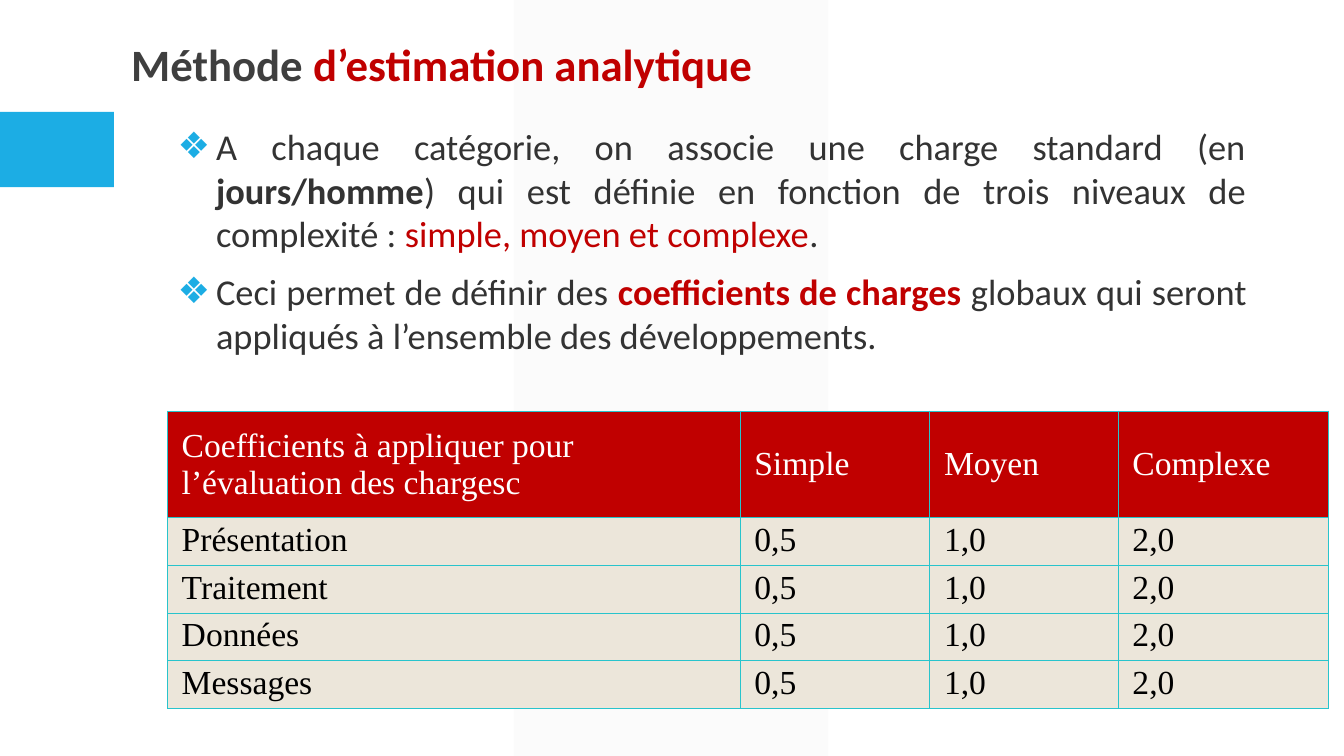
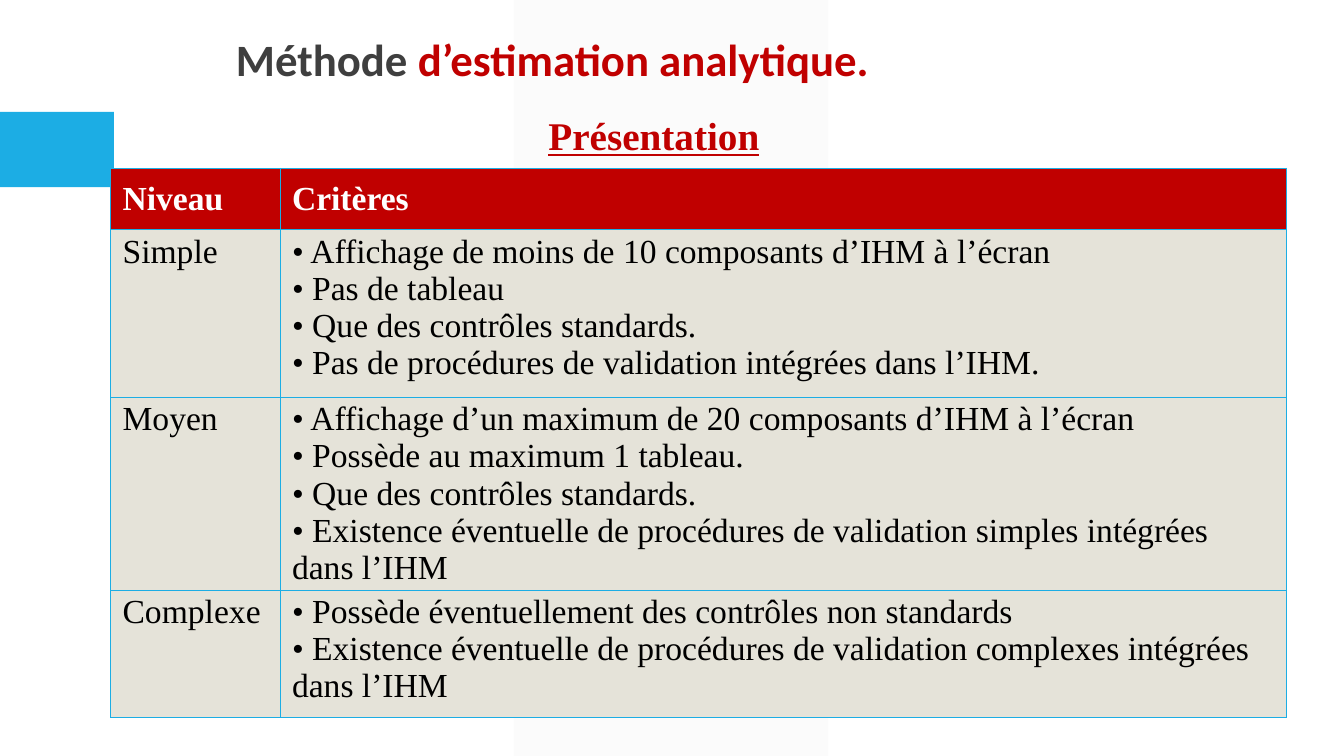
import pptx
import pptx.util
import pptx.dml.color
import pptx.enum.shapes
import pptx.enum.text
import pptx.oxml
import pptx.oxml.ns

Cm = pptx.util.Cm
Pt = pptx.util.Pt
RGB = pptx.dml.color.RGBColor
ALIGN = pptx.enum.text.PP_ALIGN
ANCHOR = pptx.enum.text.MSO_ANCHOR
SHAPE = pptx.enum.shapes.MSO_SHAPE
NS = pptx.oxml.ns.nsdecls("a")

WHITE = RGB(0xFF, 0xFF, 0xFF)
BLACK = RGB(0, 0, 0)
RED = RGB(0xC0, 0, 0)
BLUE = RGB(0x1C, 0xAD, 0xE4)
TEAL = RGB(0x28, 0xC4, 0xCC)
PALE = RGB(0xF2, 0xF2, 0xF2)
TITLE_GREY = RGB(0x3F, 0x3F, 0x3F)
TEXT_GREY = RGB(0x33, 0x33, 0x33)
SAND = RGB(0xEC, 0xE6, 0xDA)
STONE = RGB(0xE5, 0xE3, 0xD9)
SANS = "Calibri"
SERIF = "Times New Roman"


def place(sp, box):
    """Move a shape to a box given in centimetres."""
    sp.left, sp.top, sp.width, sp.height = (Cm(v) for v in box)


def add_run(p, text, size, font, color, bold=False):
    """Add one formatted run to a paragraph and return it."""
    r = p.add_run()
    r.text = text
    r.font.size = Pt(size)
    r.font.name = font
    r.font.color.rgb = color
    r.font.bold = bold
    return r


def add_band(prs, s, kind, box, color, alpha=100):
    """Draw a plain band and hand it to the slide master."""
    sp = s.shapes.add_shape(kind, *(Cm(v) for v in box))
    sp.shadow.inherit = False
    sp.fill.solid()
    sp.fill.fore_color.rgb = color
    sp.line.fill.background()
    if kind == SHAPE.PARALLELOGRAM:
        sp.adjustments[0] = 0
    if alpha < 100:
        clr = sp.element.spPr.find(".//" + pptx.oxml.ns.qn("a:srgbClr"))
        clr.append(pptx.oxml.parse_xml(f'<a:alpha {NS} val="{alpha * 1000}"/>'))
    tree = prs.slide_master.element.cSld.spTree
    sp.element.nvSpPr.cNvPr.set("id", str(100 + len(tree)))
    tree.append(sp.element)


def add_bands(prs, s):
    """Give the master its pale column and blue accent."""
    add_band(prs, s, SHAPE.PARALLELOGRAM, (12.95, 0, 7.92, 19.05), PALE, 28)
    add_band(prs, s, SHAPE.RECTANGLE, (0, 2.82, 2.87, 1.9), BLUE)


def fill_title(s, box, ending):
    """Write the two-colour title in its placeholder."""
    sp = s.shapes.title
    place(sp, box)
    tf = sp.text_frame
    tf.auto_size = pptx.enum.text.MSO_AUTO_SIZE.NONE
    tf.vertical_anchor = ANCHOR.TOP
    p = tf.paragraphs[0]
    p.alignment = ALIGN.LEFT
    add_run(p, "Méthode ", 32, SANS, TITLE_GREY, True)
    add_run(p, ending, 32, SANS, RED, True)


def fill_body(s, box, items):
    """Write a justified list with diamond bullets in the body placeholder."""
    sp = s.placeholders[1]
    place(sp, box)
    tf = sp.text_frame
    tf.auto_size = pptx.enum.text.MSO_AUTO_SIZE.NONE
    for i, runs in enumerate(items):
        p = tf.add_paragraph() if i else tf.paragraphs[0]
        p.alignment = ALIGN.JUSTIFY
        p.space_before = Pt(10 if i else 0)
        pPr = p._p.get_or_add_pPr()
        pPr.set("marL", str(Cm(0.97)))
        pPr.set("indent", str(-Cm(0.97)))
        pPr.append(pptx.oxml.parse_xml(
            f'<a:buClr {NS}><a:srgbClr val="{BLUE}"/></a:buClr>'))
        pPr.append(pptx.oxml.parse_xml(f'<a:buChar {NS} char="❖"/>'))
        for text, color, bold in runs:
            add_run(p, text, 26, SANS, color, bold)


def add_borders(cell, color):
    """Draw thin lines on the four sides of a cell."""
    tcPr = cell._tc.get_or_add_tcPr()
    for i, side in enumerate("LRTB"):
        tcPr.insert(i, pptx.oxml.parse_xml(
            f'<a:ln{side} {NS} w="{Pt(0.75)}"><a:solidFill>'
            f'<a:srgbClr val="{color}"/></a:solidFill></a:ln{side}>'))


def add_grid(s, left, top, cols, heights, rows, fill, border, pad, head_bold):
    """Add a table with a red header; each line of a cell is a paragraph."""
    tbl = s.shapes.add_table(len(rows), len(cols), Cm(left), Cm(top),
                             Cm(sum(cols)), Cm(sum(heights))).table
    for col, width in zip(tbl.columns, cols):
        col.width = Cm(width)
    for i, (row, height) in enumerate(zip(rows, heights)):
        tbl.rows[i].height = Cm(height)
        head = i == 0
        for j, text in enumerate(row):
            cell = tbl.cell(i, j)
            cell.fill.solid()
            cell.fill.fore_color.rgb = RED if head else fill
            add_borders(cell, border)
            cell.vertical_anchor = ANCHOR.MIDDLE if head else ANCHOR.TOP
            cell.margin_left = cell.margin_right = Cm(pad)
            cell.margin_top = cell.margin_bottom = Cm(0.1 if head else 0.09)
            tf = cell.text_frame
            for k, line in enumerate(text.split("\n")):
                p = tf.add_paragraph() if k else tf.paragraphs[0]
                add_run(p, line, 24, SERIF, WHITE if head else BLACK,
                        head and head_bold)


def add_caption(s, box, text):
    """Add the centred, underlined caption of a table."""
    sp = s.shapes.add_textbox(*(Cm(v) for v in box))
    tf = sp.text_frame
    tf.word_wrap = True
    p = tf.paragraphs[0]
    p.alignment = ALIGN.CENTER
    add_run(p, text, 28, SERIF, RED, True).font.underline = True


def bullets(*lines):
    """Join criteria into bulleted lines."""
    return "\n".join("• " + line for line in lines)


def coefficients_slide(s):
    """Build the slide on load coefficients."""
    fill_title(s, (3.05, 0.79, 27.94, 4.04), "d’estimation analytique")
    fill_body(s, (4.22, 3, 27.46, 12.65), [
        [("A chaque catégorie, on associe une charge standard (en ", TEXT_GREY, False),
         ("jours/homme", TEXT_GREY, True),
         (") qui est définie en fonction de trois niveaux de complexité : ",
          TEXT_GREY, False),
         ("simple, moyen et complexe", RED, False),
         (".", TEXT_GREY, False)],
        [("Ceci permet de définir des ", TEXT_GREY, False),
         ("coefficients de charges ", RED, True),
         ("globaux qui seront appliqués à l’ensemble des développements.",
          TEXT_GREY, False)],
    ])
    rows = [("Coefficients à appliquer pour l’évaluation des chargesc",
             "Simple", "Moyen", "Complexe")]
    rows += [(name, "0,5", "1,0", "2,0")
             for name in ("Présentation", "Traitement", "Données", "Messages")]
    add_grid(s, 4.22, 10.36, (14.43, 4.78, 4.75, 5.31), [2.69] + [1.2] * 4,
             rows, SAND, TEAL, 0.36, False)


def criteria_slide(s):
    """Build the slide on presentation criteria."""
    fill_title(s, (5.69, 0.66, 27.25, 2.34), "d’estimation analytique.")
    rows = [
        ("Niveau", "Critères"),
        ("Simple", bullets(
            "Affichage de moins de 10 composants d’IHM à l’écran",
            "Pas de tableau",
            "Que des contrôles standards.",
            "Pas de procédures de validation intégrées dans l’IHM.")),
        ("Moyen", bullets(
            "Affichage d’un maximum de 20 composants d’IHM à l’écran",
            "Possède au maximum 1 tableau.",
            "Que des contrôles standards.",
            "Existence éventuelle de procédures de validation simples "
            "intégrées dans l’IHM")),
        ("Complexe", bullets(
            "Possède éventuellement des contrôles non standards",
            "Existence éventuelle de procédures de validation complexes "
            "intégrées dans l’IHM")),
    ]
    add_grid(s, 2.79, 4.24, (4.27, 25.35), (1.55, 4.22, 4.14, 3.2),
             rows, STONE, BLUE, 0.3, True)
    add_caption(s, (8.1, 2.69, 16.76, 1.45), "Présentation")


def main():
    """Build and save the presentation."""
    prs = pptx.Presentation()
    prs.slide_width, prs.slide_height = Cm(33.87), Cm(19.05)
    s = prs.slides.add_slide(prs.slide_layouts[1])
    add_bands(prs, s)
    coefficients_slide(s)
    criteria_slide(prs.slides.add_slide(prs.slide_layouts[5]))
    prs.save("out.pptx")


if __name__ == "__main__":
    main()
